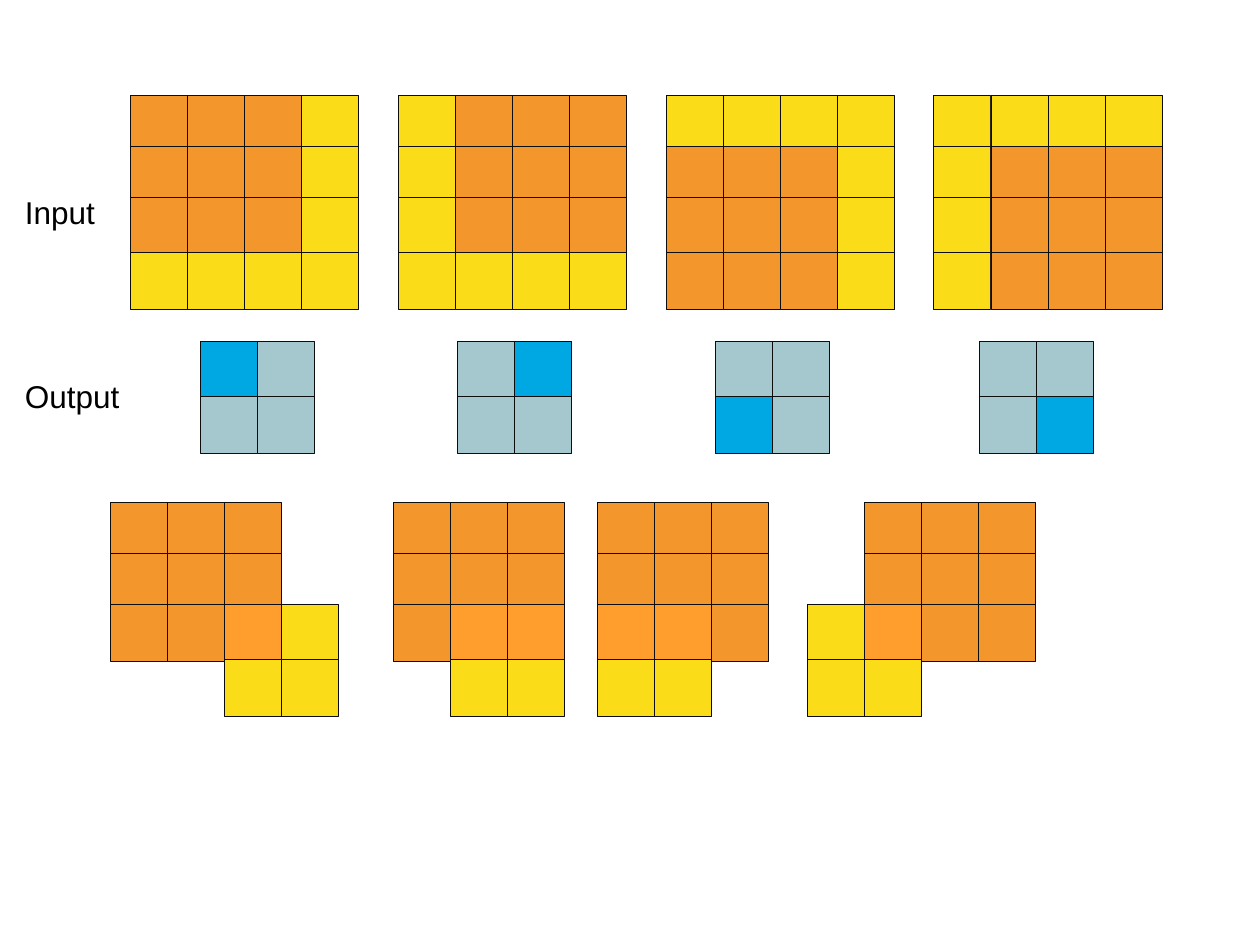
from pptx import Presentation
from pptx.dml.color import RGBColor
from pptx.enum.shapes import MSO_SHAPE
from pptx.enum.text import MSO_AUTO_SIZE
from pptx.util import Pt

RECTANGLE = MSO_SHAPE.RECTANGLE
GROW = MSO_AUTO_SIZE.SHAPE_TO_FIT_TEXT

CELL = 32.6
INPUT_ROWS = [0, 29.2, 58.4, 89.8]
OUTPUT_ROWS = [0, 31.6]
FILLS = {
    "o": "F3962C",  # kernel window
    "y": "FADC19",  # other input
    "x": "FF9D2D",  # overlap
    "b": "00A8E3",  # current output
    "g": "A5C7CE",  # other output
}

# One letter per cell, a dot where there is no cell
INPUTS = [
    ["oooy", "oooy", "oooy", "yyyy"],
    ["yooo", "yooo", "yooo", "yyyy"],
    ["yyyy", "oooy", "oooy", "oooy"],
    ["yyyy", "yooo", "yooo", "yooo"],
]
OUTPUTS = [
    (114.5, ["bg", "gg"]),
    (261.5, ["gb", "gg"]),
    (409, ["gg", "bg"]),
    (559.5, ["gg", "gb"]),
]
OVERLAPS = [
    (63.2, ["ooo.", "ooo.", "ooxy", "..yy"]),
    (224.8, ["ooo", "ooo", "oxx", ".yy"]),
    (341.2, ["ooo", "ooo", "xxo", "yy."]),
    (461.5, [".ooo", ".ooo", "yxoo", "yy.."]),
]


def color(value):
    return RGBColor.from_string(value)


class Diagram:
    """Draws cells, grids and labels on one slide in a shared style."""

    font = "Arial"
    font_size = 18
    text_color = "000000"
    line_color = "0D0D0D"
    line_width = 0.5

    def __init__(self, slide):
        self.slide = slide

    def cell(self, left, top, fill):
        shape = self.slide.shapes.add_shape(
            RECTANGLE, Pt(left), Pt(top), Pt(CELL), Pt(CELL))
        shape.shadow.inherit = False
        shape.fill.solid()
        shape.fill.fore_color.rgb = color(fill)
        shape.line.color.rgb = color(self.line_color)
        shape.line.width = Pt(self.line_width)

    def grid(self, left, top, row_offsets, rows):
        for offset, row in zip(row_offsets, rows):
            for column, letter in enumerate(row):
                if letter in FILLS:
                    self.cell(left + column * CELL, top + offset, FILLS[letter])

    def label(self, left, top, width, height, text):
        box = self.slide.shapes.add_textbox(
            Pt(left), Pt(top), Pt(width), Pt(height))
        frame = box.text_frame
        frame.word_wrap = True
        frame.auto_size = GROW
        frame.text = text
        font = frame.paragraphs[0].runs[0].font
        font.name = self.font
        font.size = Pt(self.font_size)
        font.color.rgb = color(self.text_color)


def main():
    presentation = Presentation()
    presentation.slide_width = Pt(720)
    presentation.slide_height = Pt(540)
    slide = presentation.slides.add_slide(presentation.slide_layouts[6])
    diagram = Diagram(slide)

    for index, rows in enumerate(INPUTS):
        diagram.grid(74.7 + index * 153, 54.7, INPUT_ROWS, rows)
    for left, rows in OUTPUTS:
        diagram.grid(left, 195, OUTPUT_ROWS, rows)
    diagram.label(7.2, 106.5, 57.6, 47.5, "Input")
    diagram.label(7.2, 211.7, 72, 47.5, "Output")
    for left, rows in OVERLAPS:
        diagram.grid(left, 287.1, INPUT_ROWS, rows)

    presentation.save("out.pptx")


if __name__ == "__main__":
    main()
